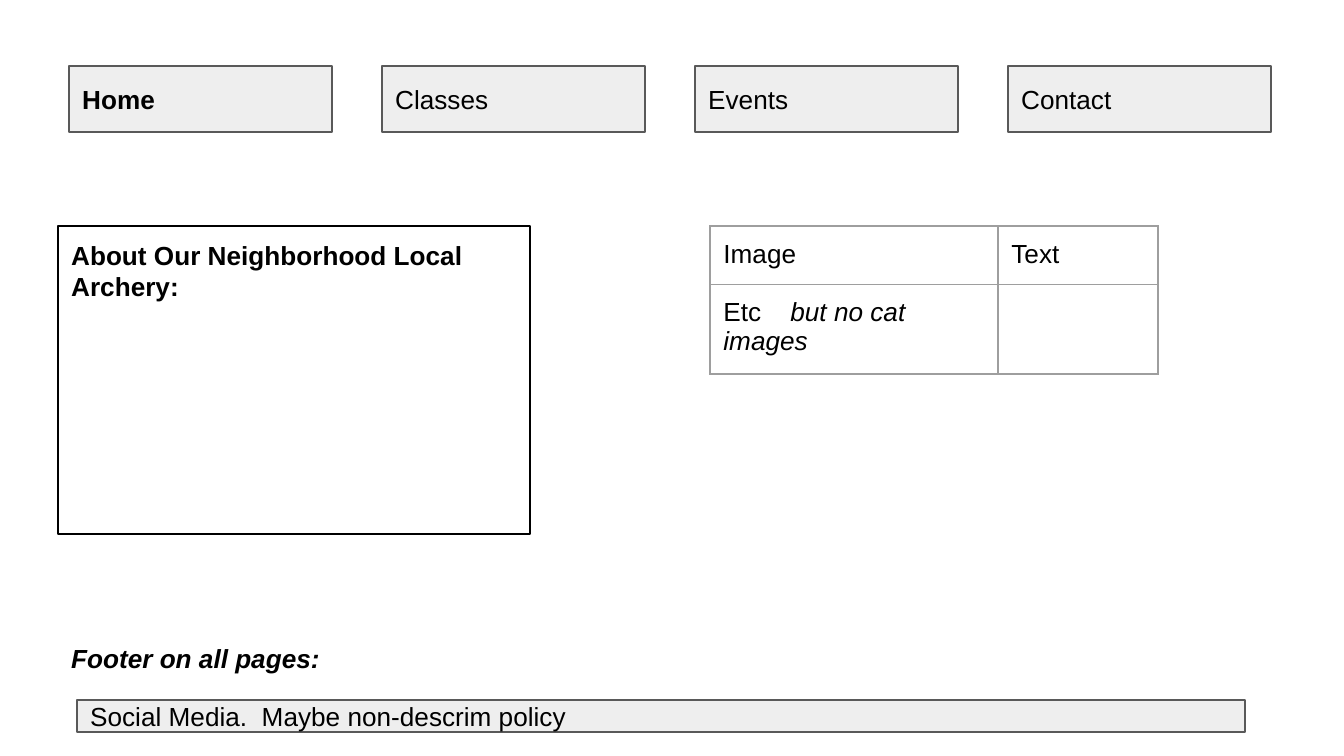
import pptx
import pptx.dml.color
import pptx.enum.shapes
import pptx.enum.text
import pptx.oxml.ns
import pptx.util
from lxml import etree

EMU_PER_PX = 914400 / 134.4
ANCHOR = pptx.enum.text.MSO_ANCHOR


def px(length):
    return pptx.util.Emu(round(length * EMU_PER_PX))


def color(value):
    return pptx.dml.color.RGBColor.from_string(value)


def add_text(paragraph, text, size=14, ink="000000", bold=False, italic=False):
    run = paragraph.add_run()
    run.text = text
    run.font.name = "Arial"
    run.font.size = pptx.util.Pt(size)
    run.font.color.rgb = color(ink)
    run.font.bold = bold
    run.font.italic = italic


def add_xml(parent, tag, **attributes):
    return etree.SubElement(parent, pptx.oxml.ns.qn(tag), **attributes)


class Wireframe:
    panel = "EEEEEE"
    outline = "595959"
    grid = "9E9E9E"
    inset = pptx.util.Inches(0.1)
    stroke = pptx.util.Pt(0.75)

    def __init__(self, slide):
        self.slide = slide

    def set_insets(self, holder):
        holder.margin_left = holder.margin_right = self.inset
        holder.margin_top = holder.margin_bottom = self.inset

    def fill_frame(self, frame, text, anchor, **style):
        frame.word_wrap = True
        frame.vertical_anchor = anchor
        self.set_insets(frame)
        paragraph = frame.paragraphs[0]
        paragraph.alignment = pptx.enum.text.PP_ALIGN.LEFT
        add_text(paragraph, text, **style)

    def box(self, bounds, text, fill=panel, line=outline, anchor=ANCHOR.MIDDLE, **style):
        panel = self.slide.shapes.add_shape(
            pptx.enum.shapes.MSO_SHAPE.RECTANGLE, *map(px, bounds))
        panel.shadow.inherit = False
        if fill:
            panel.fill.solid()
            panel.fill.fore_color.rgb = color(fill)
        else:
            panel.fill.background()
        panel.line.color.rgb = color(line)
        panel.line.width = self.stroke
        self.fill_frame(panel.text_frame, text, anchor, **style)

    def label(self, bounds, text, **style):
        caption = self.slide.shapes.add_textbox(*map(px, bounds))
        self.fill_frame(caption.text_frame, text, ANCHOR.TOP, **style)

    def border(self, cell):
        properties = cell._tc.get_or_add_tcPr()
        for side in ("a:lnL", "a:lnR", "a:lnT", "a:lnB"):
            edge = add_xml(properties, side, w=str(self.stroke))
            add_xml(add_xml(edge, "a:solidFill"), "a:srgbClr", val=self.grid)

    def table(self, left, top, widths, row_height, rows, tab_stop):
        table = self.slide.shapes.add_table(
            len(rows), len(widths), px(left), px(top),
            px(sum(widths)), px(row_height * len(rows))).table
        table.first_row = table.horz_banding = False
        for column, width in zip(table.columns, widths):
            column.width = px(width)
        for r, row in enumerate(rows):
            for c, runs in enumerate(row):
                cell = table.cell(r, c)
                self.set_insets(cell)
                self.border(cell)
                cell.fill.background()
                paragraph = cell.text_frame.paragraphs[0]
                if any("\t" in text for text, _ in runs):
                    stops = add_xml(paragraph._p.get_or_add_pPr(), "a:tabLst")
                    add_xml(stops, "a:tab", pos=str(px(tab_stop)), algn="l")
                for text, style in runs:
                    add_text(paragraph, text, **style)


def main():
    deck = pptx.Presentation()
    deck.slide_width, deck.slide_height = px(1344), px(756)
    page = Wireframe(deck.slides.add_slide(deck.slide_layouts[6]))

    for position, section in enumerate(("Home", "Classes", "Events", "Contact")):
        page.box((69 + 313 * position, 66, 263, 66), section, bold=position == 0)

    page.box((77, 700, 1168, 32), "Social Media.  Maybe non-descrim policy")
    page.label((58, 629, 429, 39), "Footer on all pages:", bold=True, italic=True)

    content = [
        [[("Image", {})], [("Text", {})]],
        [[("Etc\t", {}), ("but no cat images", {"italic": True})], []],
    ]
    page.table(710, 226, (288, 160), 56, content, tab_stop=67)
    page.box((58, 226, 472, 308), "About Our Neighborhood Local Archery:",
             fill=None, line="000000", anchor=ANCHOR.TOP, bold=True)

    deck.save("out.pptx")


if __name__ == "__main__":
    main()
